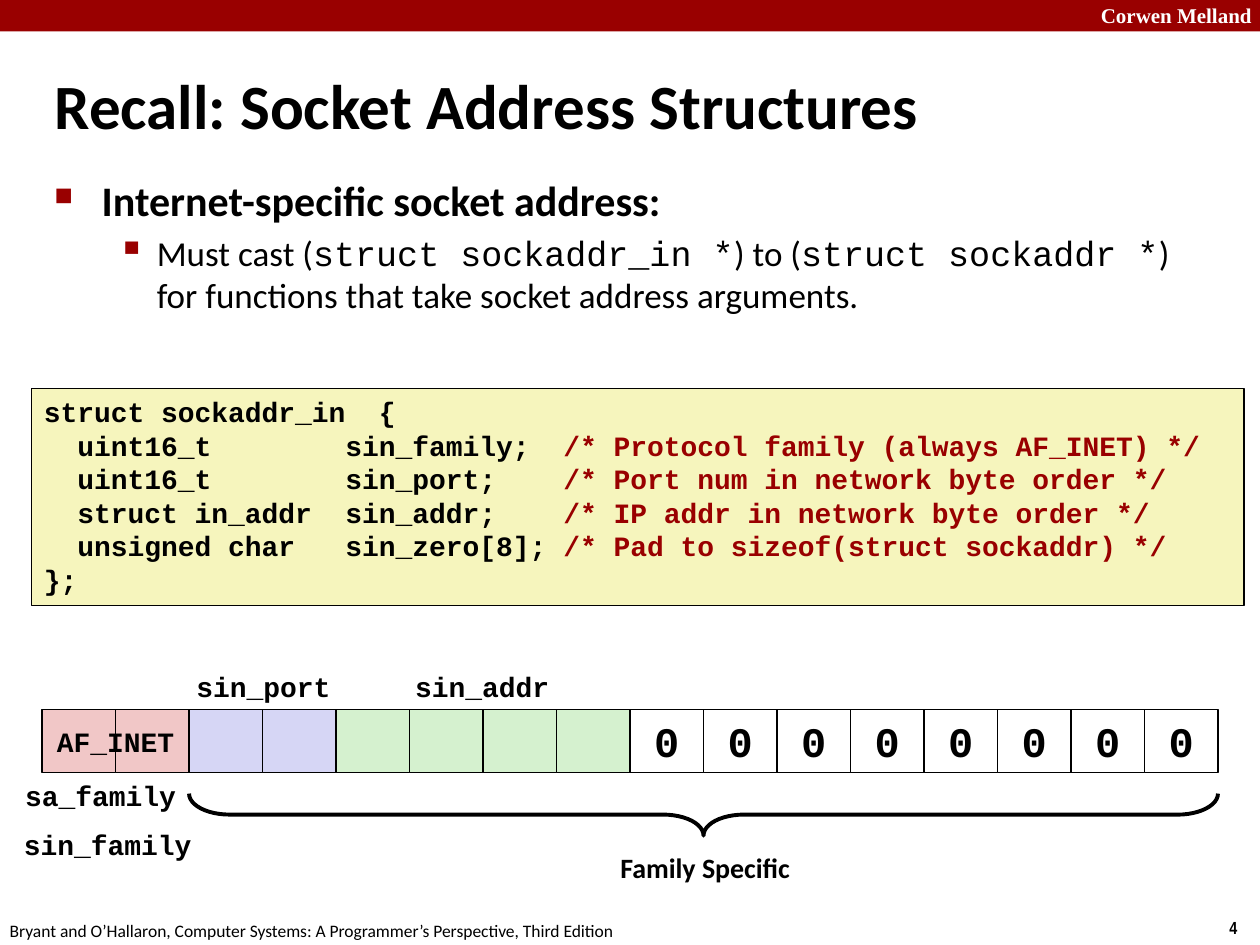
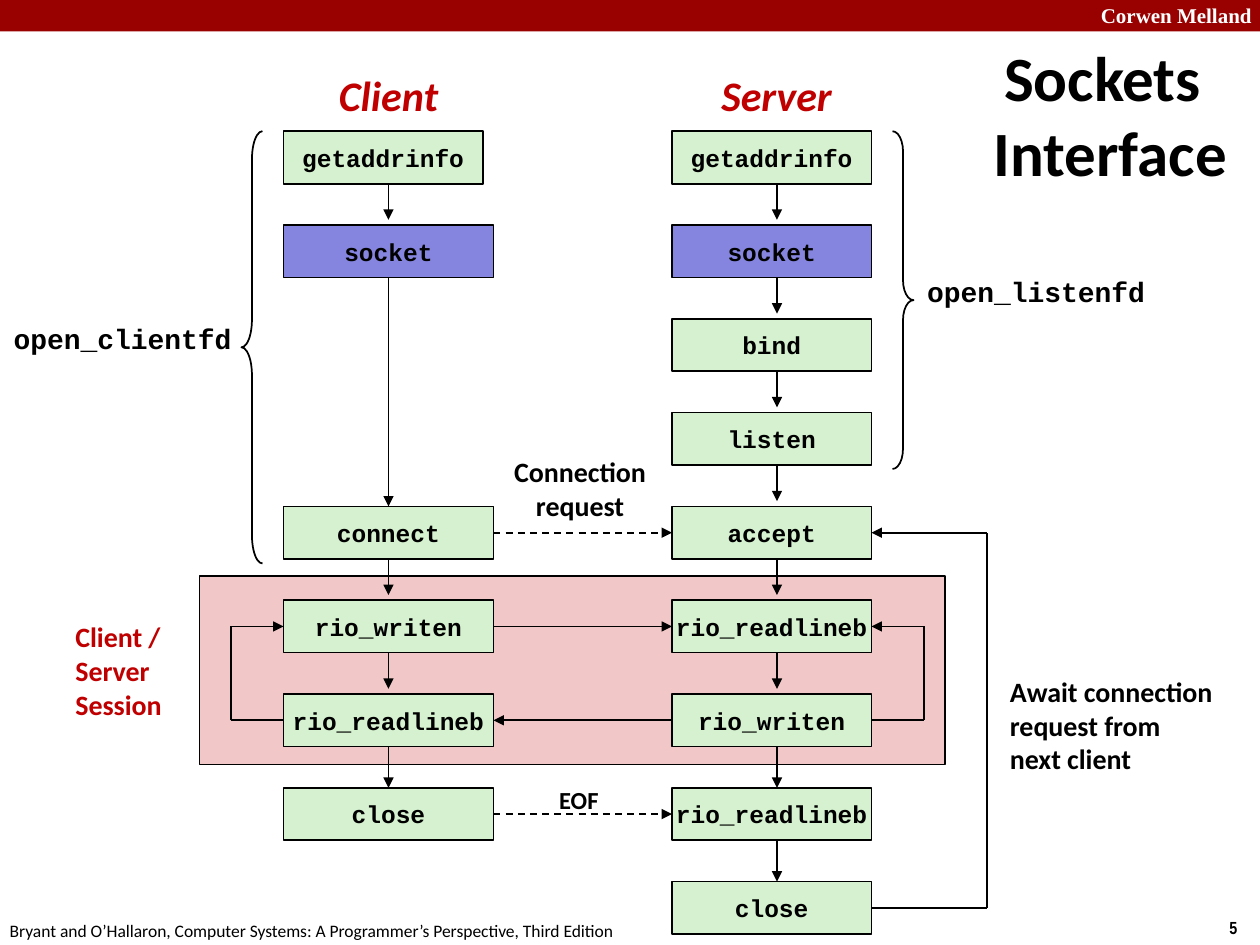
from lxml import etree
from pptx import Presentation
from pptx.dml.color import RGBColor
from pptx.enum.dml import MSO_LINE
from pptx.enum.shapes import MSO_CONNECTOR, MSO_SHAPE
from pptx.enum.text import MSO_ANCHOR, MSO_AUTO_SIZE, PP_ALIGN
from pptx.oxml.ns import qn
from pptx.util import Pt

RECT = MSO_SHAPE.RECTANGLE
LEFT_BRACE, RIGHT_BRACE = MSO_SHAPE.LEFT_BRACE, MSO_SHAPE.RIGHT_BRACE
LEFT, CENTER = PP_ALIGN.LEFT, PP_ALIGN.CENTER
TOP, MIDDLE = MSO_ANCHOR.TOP, MSO_ANCHOR.MIDDLE
STRAIGHT = MSO_CONNECTOR.STRAIGHT
DASH = MSO_LINE.DASH
NO_FIT = MSO_AUTO_SIZE.NONE

COLORS = {
    "black": "000000",
    "white": "FFFFFF",
    "band": "990000",
    "accent": "C00000",
    "pink": "F1C7C7",
    "lilac": "D6D6F5",
    "green": "D5F1CF",
    "violet": "8585E0",
    "code": "F6F5BD",
}
SANS, MONO, SERIF, NARROW = "Calibri", "Courier New", "Times New Roman", "Arial Narrow"


def add_box(page, bounds, text="", *, kind=None, fill=None, line=0, adjust=None,
            size=16, sizes=None, font=SANS, color="black", bold=True, italic=False,
            align=LEFT, anchor=TOP, wrap=False, hanging=0, bullets=None,
            alternate_font=None, alternate_color=None):
    """Paragraphs part at line ends; spans part at | and alternate in style."""
    left, top, width, height = map(Pt, bounds)
    if kind == "title":
        box = page.shapes.title
        box.left, box.top, box.width, box.height = left, top, width, height
    elif kind is None:
        box = page.shapes.add_textbox(left, top, width, height)
    else:
        box = page.shapes.add_shape(kind, left, top, width, height)
        box.shadow.inherit = False
        if adjust:
            box.adjustments[0] = adjust
        if fill:
            box.fill.solid()
            box.fill.fore_color.rgb = RGBColor.from_string(COLORS[fill])
        else:
            box.fill.background()
        if line:
            box.line.color.rgb = RGBColor.from_string(COLORS["black"])
            box.line.width = Pt(line)
        else:
            box.line.fill.background()
    if not text:
        return box
    frame = box.text_frame
    frame.word_wrap = wrap
    frame.auto_size = NO_FIT
    frame.vertical_anchor = anchor
    for row, content in enumerate(text.split("\n")):
        para = frame.add_paragraph() if row else frame.paragraphs[0]
        para.alignment = align
        para_size = sizes[row] if sizes else size
        properties = para._p.get_or_add_pPr()
        margin = hanging
        indent = hanging
        if bullets:
            character, percent, margin, indent = bullets[row]
            para.space_before = Pt(para_size * 0.2)
            bullet_color = etree.SubElement(properties, qn("a:buClr"))
            etree.SubElement(bullet_color, qn("a:srgbClr"), val=COLORS["band"])
            etree.SubElement(properties, qn("a:buSzPct"), val=str(percent * 1000))
            etree.SubElement(properties, qn("a:buChar"), char=character)
        if margin:
            properties.set("marL", str(Pt(margin)))
            properties.set("indent", str(-Pt(indent)))
        for place, words in enumerate(content.split("|")):
            alternate = place % 2
            span = para.add_run()
            span.text = words
            span.font.size = Pt(para_size)
            span.font.bold = bold and not (bullets and row)
            span.font.italic = italic
            span.font.name = alternate_font if alternate and alternate_font else font
            shade = alternate_color if alternate and alternate_color else color
            span.font.color.rgb = RGBColor.from_string(COLORS[shade])
    return box


def add_line(page, *points, arrow=True, dashed=False):
    for start, end in zip(points, points[1:]):
        line = page.shapes.add_connector(STRAIGHT, *map(Pt, start + end))
        line.line.color.rgb = RGBColor.from_string(COLORS["black"])
        line.line.width = Pt(1)
        if dashed:
            line.line.dash_style = DASH
        etree.SubElement(line._element.spPr, qn("a:effectLst"))
    if arrow:
        etree.SubElement(line.line._get_or_add_ln(), qn("a:tailEnd"), type="triangle")


deck = Presentation()
deck.slide_width, deck.slide_height = Pt(720), Pt(540)
title_only = deck.slide_layouts[5]

pages = []
for number, title, bounds, align in [
    (4, "Recall: Socket Address Structures", (24, 29, 686, 61), LEFT),
    (5, "Sockets Interface", (546, 18, 168, 94), CENTER),
]:
    page = deck.slides.add_slide(title_only)
    add_box(page, (0, 0, 720, 18), kind=RECT, fill="band")
    add_box(page, (622, -2, 103, 22), "Corwen Melland", size=12, font=SERIF,
            color="white")
    add_box(page, (695.5, 520.5, 24.5, 19.5), str(number), size=10, font=NARROW)
    add_box(page, (-1.5, 522, 366, 19.5),
            "Bryant and O’Hallaron, Computer Systems: A Programmer’s Perspective, "
            "Third Edition", size=10, bold=False)
    add_box(page, bounds, title, kind="title", size=36, align=align, anchor=MIDDLE,
            wrap=True, hanging=9)
    pages.append(page)
structures, interface = pages

add_box(structures, (24, 96, 654.5, 132),
        "Internet-specific socket address:\n"
        "Must cast (|struct sockaddr_in *|) to (|struct sockaddr *|) "
        "for functions that take socket address arguments.",
        sizes=[24, 20], wrap=True, alternate_font=MONO,
        bullets=[("■", 60, 27, 27), ("▪", 110, 58.5, 22.5)])

add_box(structures, (18, 222, 693, 124), """struct sockaddr_in  {
  uint16_t        sin_family;  |/* Protocol family (always AF_INET) */
  uint16_t        sin_port;    |/* Port num in network byte order */
  struct in_addr  sin_addr;    |/* IP addr in network byte order */
  unsigned char   sin_zero[8]; |/* Pad to sizeof(struct sockaddr) */
};""", kind=RECT, fill="code", line=1, font=MONO, wrap=True, alternate_color="band")

byte_fills = ["pink"] * 2 + ["lilac"] * 2 + ["green"] * 4 + ["white"] * 8
for index, fill in enumerate(byte_fills):
    add_box(structures, (24 + 42 * index, 405.5, 42, 36), "0" if fill == "white" else "",
            kind=RECT, fill=fill, line=1, size=24, font=MONO, align=CENTER, anchor=MIDDLE)

for bounds, label, font in [
    ((104.5, 379, 92, 26.5), "sin_port", MONO),
    ((229.5, 379, 92, 26.5), "sin_addr", MONO),
    ((24.5, 410.5, 83, 26.5), "AF_INET", MONO),
    ((7, 441.5, 101, 26.5), "sa_family", MONO),
    ((6, 469.5, 111, 26.5), "sin_family", MONO),
    ((346.5, 482.5, 113, 26.5), "Family Specific", SANS),
]:
    add_box(structures, bounds, label, font=font, align=CENTER)

family_brace = add_box(structures, (390, 171.5, 24, 588), kind=RIGHT_BRACE,
                       line=2.25, adjust=0.96)
family_brace.rotation = 90

client_left, client_width, client_axis = 162, 120, 222
server_left, server_width, server_axis = 384, 114, 444
client_right = client_left + client_width
server_right = server_left + server_width
call_height = 30
tops = [75 + 53.6 * row for row in range(9)]
centers = [top + call_height / 2 for top in tops]

add_box(interface, (114, 329, 426, 108), kind=RECT, fill="pink", line=1)

client_calls = {0: "getaddrinfo", 1: "socket", 4: "connect", 5: "rio_writen",
                6: "rio_readlineb", 7: "close"}
server_calls = dict(enumerate(["getaddrinfo", "socket", "bind", "listen", "accept",
                               "rio_readlineb", "rio_writen", "rio_readlineb", "close"]))
for calls, left, width, axis in [
    (client_calls, client_left, client_width, client_axis),
    (server_calls, server_left, server_width, server_axis),
]:
    rows = list(calls)
    for row, call in calls.items():
        add_box(interface, (left, tops[row], server_width if row == 0 else width, call_height),
                call, kind=RECT, fill="violet" if call == "socket" else "green", line=1,
                size=14, font=MONO, align=CENTER, anchor=MIDDLE)
    for row, following in zip(rows, rows[1:]):
        gap = 3 if row < 6 and following == row + 1 else 0
        add_line(interface, (axis, tops[row] + call_height), (axis, tops[following] - gap))

for row, dashed in [(4, True), (5, False), (6, False), (7, True)]:
    ends = [(client_right, centers[row]), (server_left, centers[row])]
    if row == 6:
        ends.reverse()
    add_line(interface, *ends, dashed=dashed)

for edge, turn, start, end in [
    (client_left, 132, 6, 5),
    (server_right, 528, 6, 5),
    (server_right, 564, 8, 4),
]:
    add_line(interface, (edge, centers[start]), (turn, centers[start]),
             (turn, centers[end]), (edge, centers[end]))

add_box(interface, (138, 75, 12, 247), kind=LEFT_BRACE, line=1, adjust=1.33)
add_box(interface, (510, 75, 12, 193), kind=RIGHT_BRACE, line=1, adjust=0.96)

for bounds, heading in [((186, 36, 72, 36), "Client"), ((404.5, 36, 78.5, 36), "Server")]:
    add_box(interface, bounds, heading, size=24, color="accent", italic=True,
            align=CENTER, anchor=MIDDLE)
for bounds, helper in [((0, 180, 140, 26.5), "open_clientfd"),
                       ((522, 153.5, 140, 26.5), "open_listenfd")]:
    add_box(interface, bounds, helper, font=MONO, align=CENTER, anchor=MIDDLE)

add_box(interface, (286, 256, 91, 46), "Connection\nrequest", align=CENTER, anchor=MIDDLE)
add_box(interface, (312, 445, 37.5, 24.5), "EOF", size=14, align=CENTER, anchor=MIDDLE)
add_box(interface, (36, 350.5, 66, 65), "Client / Server\nSession", color="accent",
        anchor=MIDDLE, wrap=True)
add_box(interface, (570, 381.5, 132, 65.5), "Await connection\nrequest from\nnext client",
        anchor=MIDDLE)

deck.save("out.pptx")
